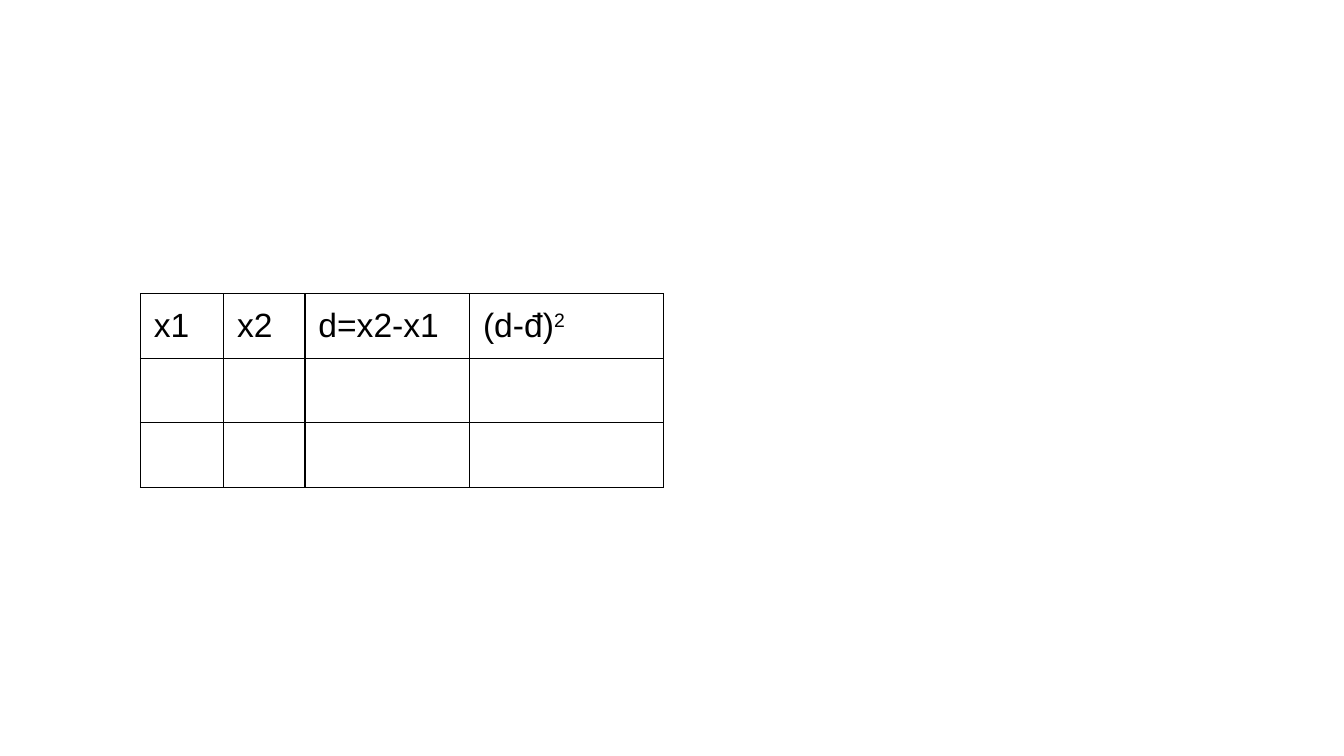
"""Build a slide with a blank worksheet table for paired differences."""
import dataclasses

import lxml.etree
import pptx
import pptx.dml.color
import pptx.oxml.ns
import pptx.util

PX = 4572


@dataclasses.dataclass(frozen=True)
class Theme:
    """Colours and type sizes of the slide."""
    ink: str = "000000"
    paper: str = "FFFFFF"
    font: str = "Arial"
    size: int = 18
    border: float = 0.75
    superscript: int = 30


THEME = Theme()
COLUMN_WIDTHS = [124, 121, 245, 288]
ROW_HEIGHT = 84
CELL_INSET = 20
ROWS = [
    [["x1"], ["x2"], ["d=x2-x1"], ["(d-đ)", "2"]],
    [[], [], [], []],
    [[], [], [], []],
]


def px(n):
    """Turn whole px into EMU."""
    return pptx.util.Emu(n * PX)


def rgb(value):
    """Turn a hex string into a colour."""
    return pptx.dml.color.RGBColor.from_string(value)


def add_element(parent, tag, **attributes):
    """Append a DrawingML element to a parent."""
    return lxml.etree.SubElement(parent, pptx.oxml.ns.qn(tag), **attributes)


def add_run(p, text, raised=False):
    """Add one run in the theme's type, raised as an exponent if asked."""
    r = p.add_run()
    r.text = text
    r.font.name = THEME.font
    r.font.size = pptx.util.Pt(THEME.size)
    r.font.color.rgb = rgb(THEME.ink)
    if raised:
        r.font._element.set("baseline", str(THEME.superscript * 1000))


def set_end_type(p):
    """Give the paragraph end the theme's type, so empty cells keep their height."""
    end = add_element(p._p, "a:endParaRPr", sz=str(THEME.size * 100))
    add_element(end, "a:latin", typeface=THEME.font)


def add_borders(cell):
    """Draw a thin line on all four sides of a cell."""
    tc_pr = cell._tc.get_or_add_tcPr()
    width = str(pptx.util.Pt(THEME.border))
    for side in ("a:lnL", "a:lnR", "a:lnT", "a:lnB"):
        ln = add_element(tc_pr, side, w=width)
        add_element(add_element(ln, "a:solidFill"), "a:srgbClr", val=THEME.ink)


def fill_cell(cell, parts):
    """Format a cell and write its base text and optional exponent."""
    cell.margin_left = cell.margin_right = px(CELL_INSET)
    cell.margin_top = cell.margin_bottom = px(CELL_INSET)
    add_borders(cell)
    cell.fill.background()
    p = cell.text_frame.paragraphs[0]
    for i, text in enumerate(parts):
        add_run(p, text, raised=i > 0)
    set_end_type(p)


def add_difference_table(s, left, top):
    """Add the table of paired values and their differences."""
    width, height = sum(COLUMN_WIDTHS), ROW_HEIGHT * len(ROWS)
    table = s.shapes.add_table(len(ROWS), len(COLUMN_WIDTHS), px(left), px(top),
                               px(width), px(height)).table
    table.first_row = table.horz_banding = False
    for column, column_width in zip(table.columns, COLUMN_WIDTHS):
        column.width = px(column_width)
    for row, contents in zip(table.rows, ROWS):
        row.height = px(ROW_HEIGHT)
        for cell, parts in zip(row.cells, contents):
            fill_cell(cell, parts)


def main():
    """Build and save the slide."""
    prs = pptx.Presentation()
    prs.slide_width, prs.slide_height = px(2000), px(1125)
    s = prs.slides.add_slide(prs.slide_layouts[6])
    s.background.fill.solid()
    s.background.fill.fore_color.rgb = rgb(THEME.paper)
    add_difference_table(s, 209, 437)
    prs.save("out.pptx")


if __name__ == "__main__":
    main()
